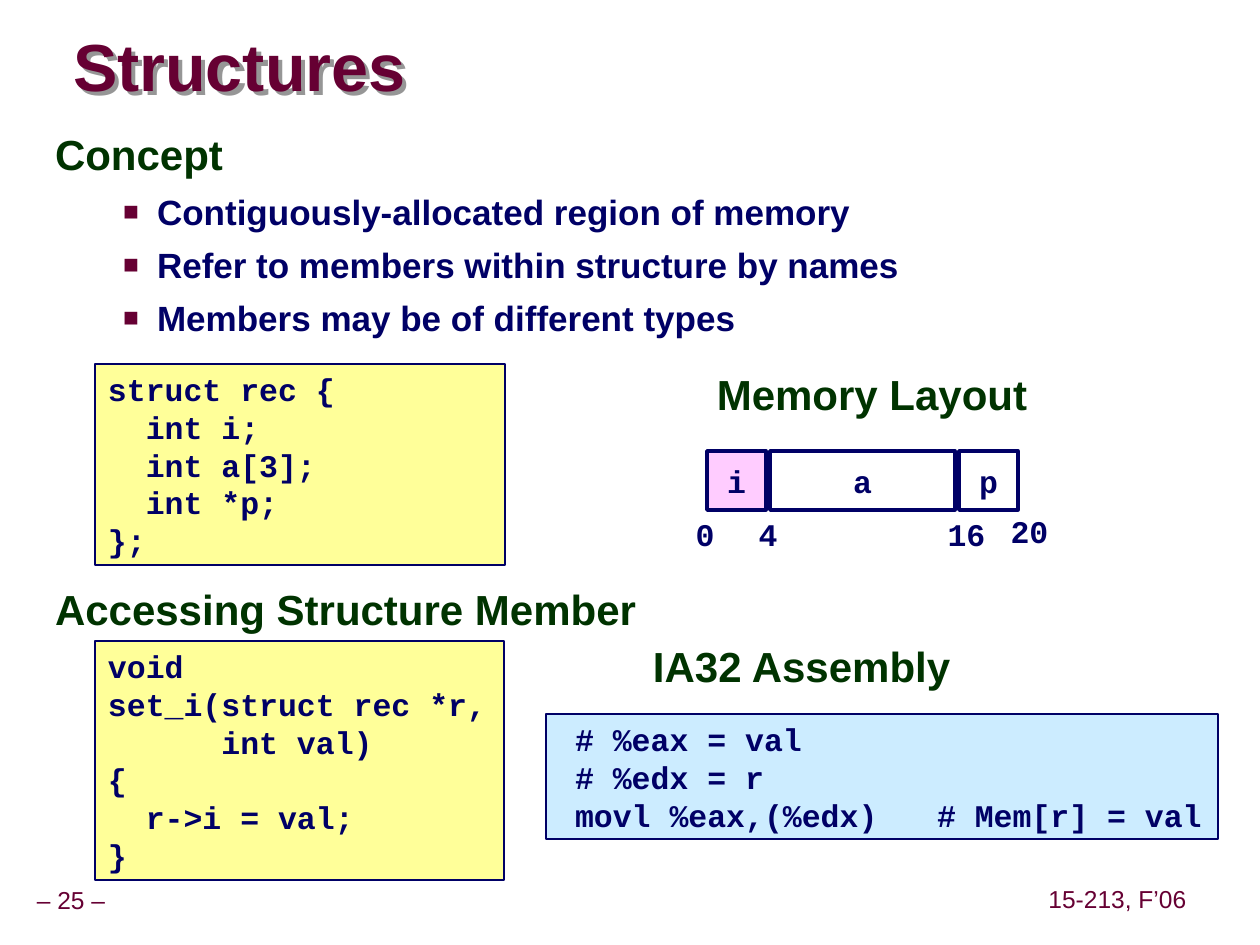
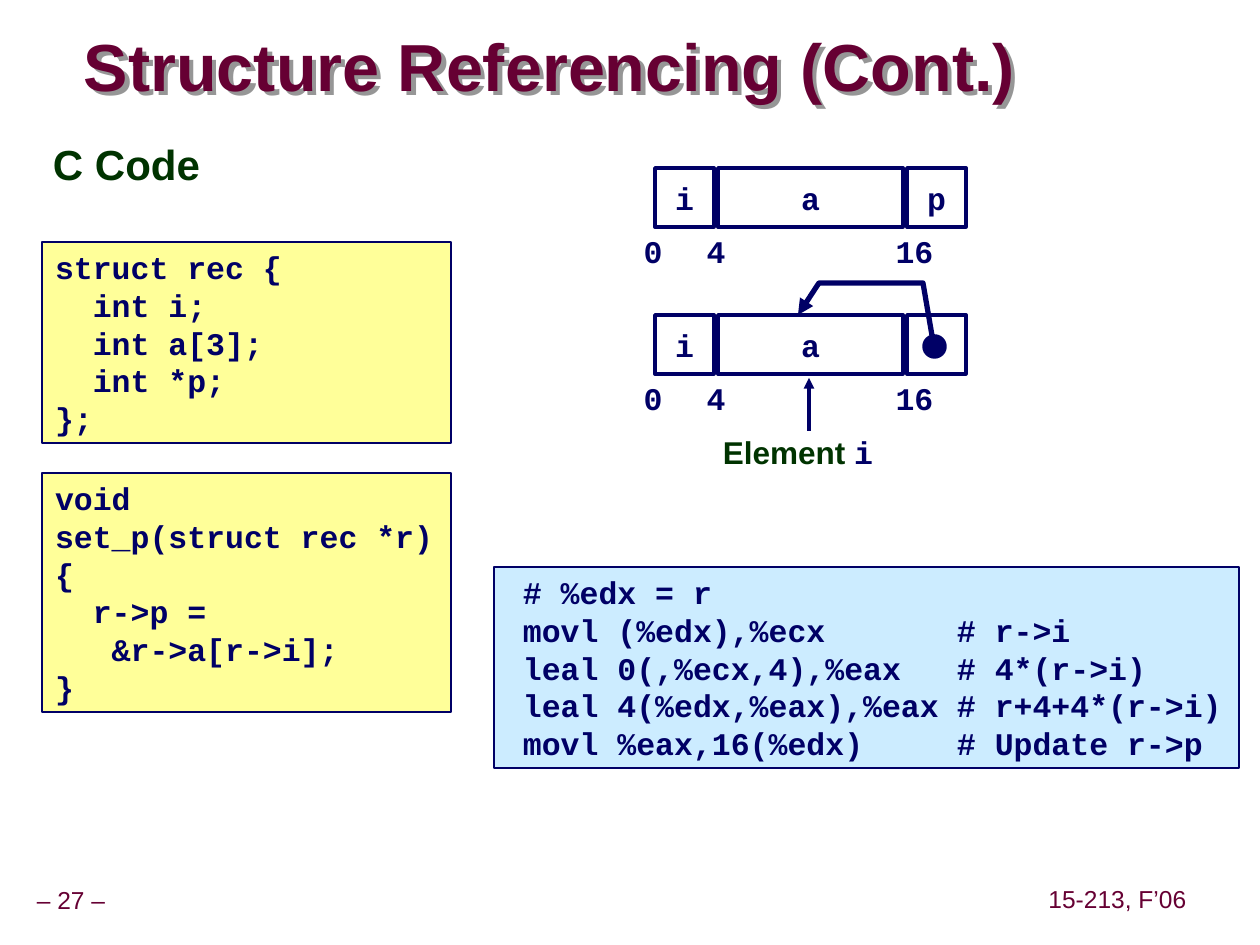
from lxml.etree import SubElement
from pptx import Presentation
from pptx.dml.color import RGBColor
from pptx.enum.shapes import MSO_CONNECTOR, MSO_SHAPE
from pptx.enum.text import MSO_ANCHOR, MSO_AUTO_SIZE, PP_ALIGN
from pptx.oxml.ns import qn
from pptx.util import Inches, Pt

PX = Inches(10) / 1260
MAROON, GREEN, NAVY = "660033", "003300", "000066"
YELLOW, BLUE, PINK, WHITE = "FFFF99", "CCECFF", "FFCCFF", "FFFFFF"
SHADOW_GRAY = "969696"

TITLE = {"name": "Arial", "size": Pt(38), "bold": True}
HEADING = {"name": "Arial", "size": Pt(24), "bold": True}
BULLET = {"name": "Arial", "size": Pt(20), "bold": True}
CAPTION = {"name": "Arial", "size": Pt(18), "bold": True}
CODE = {"name": "Courier New", "size": Pt(18), "bold": True}
FOOTER = {"name": "Arial", "size": Pt(14), "bold": False}

CELL_PX, CELL_GAP, BYTES_PER_CELL = 63, 4, 4

STRUCT_CODE = ["struct rec {", "  int i;", "  int a[3];", "  int *p;", "};"]
SET_I_CODE = ["void", "set_i(struct rec *r,", "      int val)", "{",
              "  r->i = val;", "}"]
SET_P_CODE = ["void", "set_p(struct rec *r)", "{", "  r->p =",
              "   &r->a[r->i];", "}"]
SET_I_ASSEMBLY = ["# %eax = val", "# %edx = r",
                  "movl %eax,(%edx)\t# Mem[r] = val"]
SET_P_ASSEMBLY = ["# %edx = r",
                  "movl (%edx),%ecx\t# r->i",
                  "leal 0(,%ecx,4),%eax\t# 4*(r->i)",
                  "leal 4(%edx,%eax),%eax\t# r+4+4*(r->i)",
                  "movl %eax,16(%edx)\t# Update r->p"]


def emu(*lengths):
    return [round(length * PX) for length in lengths]


def rgb(color):
    return RGBColor.from_string(color)


def set_values(target, values):
    for name, value in values.items():
        setattr(target, name, value)


def set_frame(shape, inset=(13, 6, 13, 6), **values):
    sides = ("margin_left", "margin_top", "margin_right", "margin_bottom")
    set_values(shape.text_frame, {
        "word_wrap": True, "auto_size": MSO_AUTO_SIZE.NONE,
        "vertical_anchor": MSO_ANCHOR.TOP, **dict(zip(sides, emu(*inset))), **values})


def add_run(paragraph, text, font, color):
    run = paragraph.add_run()
    run.text = text
    set_values(run.font, font)
    run.font.color.rgb = rgb(color)


def write_lines(shape, lines, font, color, **values):
    frame = shape.text_frame
    for index, line in enumerate(lines):
        paragraph = frame.paragraphs[0] if index == 0 else frame.add_paragraph()
        set_values(paragraph, {"alignment": PP_ALIGN.LEFT, **values})
        add_run(paragraph, line, font, color)


def add_text(slide, box, text, font, color, frame=None, **values):
    shape = slide.shapes.add_textbox(*emu(*box))
    set_frame(shape, **(frame or {}))
    write_lines(shape, [text], font, color, **values)
    return shape


def add_heading(slide, box, text, **values):
    return add_text(slide, box, text, HEADING, GREEN, **{"line_spacing": 0.9, **values})


def add_block(slide, kind, box, fill, line_width):
    shape = slide.shapes.add_shape(kind, *emu(*box))
    shape.shadow.inherit = False
    shape.fill.solid()
    shape.fill.fore_color.rgb = rgb(fill)
    set_line(shape, line_width)
    return shape


def set_line(shape, width, arrow=False):
    shape.line.color.rgb = rgb(NAVY)
    shape.line.width = Pt(width)
    if arrow:
        line = shape.line.color and shape._element.spPr.find(qn("a:ln"))
        SubElement(line, qn("a:tailEnd"), type="triangle")


def add_code(slide, box, lines, fill=YELLOW, inset=(13, 6, 0, 6), tab=None):
    shape = add_block(slide, MSO_SHAPE.RECTANGLE, box, fill, 1)
    set_frame(shape, inset)
    write_lines(shape, lines, CODE, NAVY)
    if tab:
        for paragraph in shape.text_frame.paragraphs:
            properties = paragraph._p.get_or_add_pPr()
            tabs = SubElement(properties, qn("a:tabLst"))
            SubElement(tabs, qn("a:tab"), pos=str(emu(tab)[0]), algn="l")


def add_assembly(slide, box, lines, comment_tab):
    add_code(slide, box, lines, BLUE, (29, 6, 0, 6), comment_tab)


def add_bullets(shape, items):
    for item in items:
        paragraph = shape.text_frame.add_paragraph()
        paragraph.space_before = Pt(6.2)
        properties = paragraph._p.get_or_add_pPr()
        margin, hanging = emu(102, -34)
        properties.set("marL", str(margin))
        properties.set("indent", str(hanging))
        bullet_color = SubElement(properties, qn("a:buClr"))
        SubElement(bullet_color, qn("a:srgbClr"), val=MAROON)
        SubElement(properties, qn("a:buSzPct"), val="75000")
        SubElement(properties, qn("a:buFont"), typeface="Arial")
        SubElement(properties, qn("a:buChar"), char="■")
        add_run(paragraph, item, BULLET, NAVY)


def add_memory_layout(slide, left, top, last="p", first_fill=WHITE):
    pixels_per_byte = CELL_PX / BYTES_PER_CELL
    members = [("i", 0, 4, first_fill), ("a", 4, 16, WHITE), (last, 16, 20, WHITE)]
    for name, start, end, fill in members:
        box = (left + start * pixels_per_byte, top,
               (end - start) * pixels_per_byte - CELL_GAP, CELL_PX - CELL_GAP)
        cell = add_block(slide, MSO_SHAPE.RECTANGLE, box, fill, 2)
        if name:
            set_frame(cell, vertical_anchor=MSO_ANCHOR.MIDDLE, word_wrap=False)
            write_lines(cell, [name], CODE, NAVY, alignment=PP_ALIGN.CENTER)
        add_offset(slide, left, top + 58, start)


def add_offset(slide, left, top, offset):
    text = str(offset)
    box = (left - 24 + offset * CELL_PX / BYTES_PER_CELL, top, 25 + 19 * len(text), 50)
    add_text(slide, box, text, CODE, NAVY, {"word_wrap": False},
             alignment=PP_ALIGN.CENTER)


def add_pointer(slide, left, top):
    add_block(slide, MSO_SHAPE.OVAL, (left + 269, top + 21, 21, 21), NAVY, 2)
    bends = [(279, 32), (268, -32), (164, -32), (143, 0)]
    points = [(left + x, top + y) for x, y in bends]
    builder = slide.shapes.build_freeform(*points[0], scale=PX)
    builder.add_line_segments(points[1:], close=False)
    pointer = builder.convert_to_shape()
    pointer.shadow.inherit = False
    pointer.fill.background()
    set_line(pointer, 3, arrow=True)


def add_element_label(slide, left, top):
    arrow = slide.shapes.add_connector(
        MSO_CONNECTOR.STRAIGHT, *emu(left + 154, top + 116, left + 154, top + 63))
    set_line(arrow, 2, arrow=True)
    SubElement(arrow._element.spPr, qn("a:effectLst"))
    label = add_text(slide, (left + 38, top + 116, 210, 53), "Element ", CAPTION, GREEN,
                     alignment=PP_ALIGN.CENTER, line_spacing=0.9)
    add_run(label.text_frame.paragraphs[0], "i", CODE, NAVY)


def set_title(slide, box, text):
    title = slide.shapes.title
    set_values(title, dict(zip(("left", "top", "width", "height"), emu(*box))))
    set_frame(title, (0, 0, 0, 0), vertical_anchor=MSO_ANCHOR.MIDDLE)
    write_lines(title, [text], TITLE, MAROON, line_spacing=0.87)
    title.fill.background()
    effects = SubElement(title._element.spPr, qn("a:effectLst"))
    shadow = SubElement(effects, qn("a:outerShdw"), dist=str(emu(6)[0]), dir="2700000")
    SubElement(shadow, qn("a:srgbClr"), val=SHADOW_GRAY)


def add_footer(slide, number):
    for box, text in [((0, 882, 142, 39), f"– {number} –"),
                      ((1042, 881, 151, 39), "15-213, F’06")]:
        add_text(slide, box, text, FOOTER, MAROON,
                 {"inset": (6, 6, 6, 6), "vertical_anchor": MSO_ANCHOR.MIDDLE,
                  "word_wrap": False},
                 alignment=PP_ALIGN.CENTER, line_spacing=0.9)


def add_titled_slide(presentation, box, title, number):
    slide = presentation.slides.add_slide(presentation.slide_layouts[5])
    set_title(slide, box, title)
    add_footer(slide, number)
    return slide


def build_structures(presentation):
    slide = add_titled_slide(presentation, (73, 31, 723, 79), "Structures", 25)
    concept = add_heading(slide, (42, 126, 1092, 230), "Concept", line_spacing=0.95)
    add_bullets(concept, ["Contiguously-allocated region of memory",
                          "Refer to members within structure by names",
                          "Members may be of different types"])
    add_code(slide, (95, 364, 410, 201), STRUCT_CODE)
    add_heading(slide, (640, 368, 464, 57), "Memory Layout", alignment=PP_ALIGN.CENTER)
    add_memory_layout(slide, 707, 451, first_fill=PINK)
    add_offset(slide, 707, 506, 20)
    add_heading(slide, (42, 581, 1092, 57), "Accessing Structure Member",
                line_spacing=0.95)
    add_code(slide, (95, 641, 409, 239), SET_I_CODE)
    add_heading(slide, (640, 640, 464, 57), "IA32 Assembly")
    add_assembly(slide, (546, 714, 672, 125), SET_I_ASSEMBLY, 362)


def build_structure_referencing(presentation):
    slide = add_titled_slide(presentation, (84, 31, 995, 79),
                             "Structure Referencing (Cont.)", 27)
    add_heading(slide, (40, 136, 400, 57), "C Code", line_spacing=0.95)
    add_code(slide, (42, 242, 409, 201), STRUCT_CODE)
    add_code(slide, (42, 473, 409, 239), SET_P_CODE)
    add_memory_layout(slide, 655, 168)
    add_memory_layout(slide, 655, 315, last="")
    add_pointer(slide, 655, 315)
    add_element_label(slide, 655, 315)
    add_assembly(slide, (494, 567, 745, 201), SET_P_ASSEMBLY, 434)


def main():
    presentation = Presentation()
    presentation.slide_width, presentation.slide_height = emu(1260, 945)
    build_structures(presentation)
    build_structure_referencing(presentation)
    presentation.save("out.pptx")


if __name__ == "__main__":
    main()
